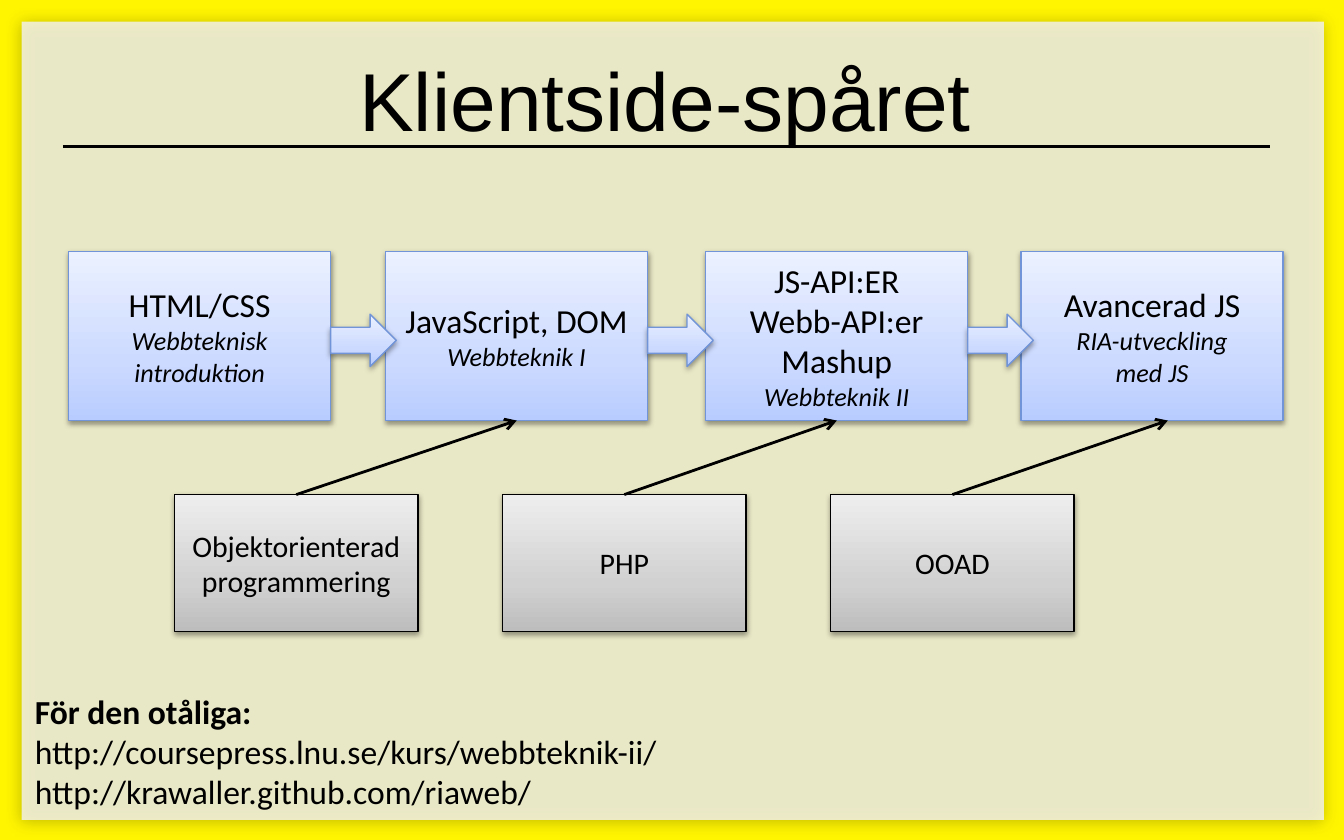
from copy import deepcopy

from lxml.etree import SubElement
from pptx import Presentation
from pptx.dml.color import RGBColor
from pptx.enum.shapes import MSO_CONNECTOR as Connector, MSO_SHAPE as Shape
from pptx.enum.text import MSO_ANCHOR as Anchor, MSO_AUTO_SIZE as AutoSize, PP_ALIGN as Align
from pptx.oxml.ns import qn
from pptx.util import Cm, Pt

COLORS = {"background": "FFF500", "panel": "F2F2F2", "black": "000000", "blue line": "7094D7"}
GRADIENTS = {
    "blue": ((0, "B8CCFF"), (35, "CCDAFF"), (100, "EBF1FF")),
    "gray": ((0, "BDBDBD"), (35, "D1D1D1"), (100, "EEEEEE")),
}
BLACK = RGBColor.from_string(COLORS["black"])


def add_shadow(shape, blur, distance, opacity):
    """Cast a black shadow straight down; blur and distance in points, opacity in percent."""
    shape.shadow.inherit = False
    effects = shape._element.spPr.find(qn("a:effectLst"))
    shadow = SubElement(effects, qn("a:outerShdw"), blurRad=str(Pt(blur)),
                        dist=str(Pt(distance)), dir="5400000", rotWithShape="0")
    color = SubElement(shadow, qn("a:srgbClr"), val=COLORS["black"])
    SubElement(color, qn("a:alpha"), val=str(opacity * 1000))


def add_text(paragraph, text, size, font="Calibri", bold=False, italic=False):
    """Add one run per line of text, with line breaks between them."""
    for number, line in enumerate(text.split("\n")):
        if number:
            paragraph.add_line_break()
        run = paragraph.add_run()
        run.text = line
        run.font.name = font
        run.font.size = Pt(size)
        run.font.bold = bold
        run.font.italic = italic
        run.font.color.rgb = BLACK


presentation = Presentation()
presentation.slide_width = Cm(25.4)
presentation.slide_height = Cm(15.88)
slide = presentation.slides.add_slide(presentation.slide_layouts[5])
shapes = slide.shapes

# Background, panel and title
slide.background.fill.solid()
slide.background.fill.fore_color.rgb = RGBColor.from_string(COLORS["background"])

panel = shapes.add_shape(Shape.RECTANGLE, Cm(0.41), Cm(0.41), Cm(24.61), Cm(15.09))
panel.fill.solid()
panel.fill.fore_color.rgb = RGBColor.from_string(COLORS["panel"])
panel_color = panel._element.spPr.find(qn("a:solidFill")).find(qn("a:srgbClr"))
SubElement(panel_color, qn("a:alpha"), val="82000")
panel.line.fill.background()
add_shadow(panel, 8, 1, 28)

title = shapes.title
title._element.addprevious(panel._element)
title.left, title.top, title.width, title.height = Cm(1.78), Cm(0.79), Cm(21.59), Cm(2.16)
title.text_frame.auto_size = AutoSize.NONE
title.text_frame.vertical_anchor = Anchor.MIDDLE
title.text_frame.paragraphs[0].alignment = Align.CENTER
add_text(title.text_frame.paragraphs[0], "Klientside-spåret", 44, "Arial")

lines = [shapes.add_connector(Connector.STRAIGHT, Cm(1.19), Cm(2.77), Cm(24), Cm(2.77))]

# Courses of the track: left edge, subject, course name
COURSES = [
    (1.3, "HTML/CSS", "Webbteknisk introduktion"),
    (7.29, "JavaScript, DOM", "Webbteknik I"),
    (13.34, "JS-API:ER\nWebb-API:er\nMashup", "Webbteknik II"),
    (19.3, "Avancerad JS", "RIA-utveckling\nmed JS"),
]
COURSE_TOP, COURSE_WIDTH, COURSE_HEIGHT = 4.75, 4.95, 3.2
course_boxes = []
for left, subject, course in COURSES:
    box = shapes.add_shape(Shape.RECTANGLE, Cm(left), Cm(COURSE_TOP),
                           Cm(COURSE_WIDTH), Cm(COURSE_HEIGHT))
    add_text(box.text_frame.paragraphs[0], subject, 18)
    add_text(box.text_frame.add_paragraph(), course, 14, italic=True)
    course_boxes.append(box)

# Prerequisites: name and where the arrow tip meets the next course
PREREQUISITES = [("Objektorienterad programmering", 9.78), ("PHP", 15.9), ("OOAD", 22.07)]
prerequisite_boxes = []
for index, (name, tip) in enumerate(PREREQUISITES):
    box = shapes.add_shape(Shape.RECTANGLE, Cm(3.3 + 6.2 * index), Cm(9.35), Cm(4.6), Cm(2.59))
    add_text(box.text_frame.paragraphs[0], name, 16)
    prerequisite_boxes.append(box)

    target = course_boxes[index + 1]
    arrow = shapes.add_connector(Connector.STRAIGHT, box.left, box.top,
                                 Cm(tip), target.top + target.height)
    arrow.begin_connect(box, 0)
    if abs(Cm(tip) - target.left - target.width // 2) < Cm(0.1):
        arrow.end_connect(target, 2)
    lines.append(arrow)

for line in lines:
    line.line.color.rgb = BLACK
    line.line.width = Pt(1.5)
    SubElement(line._element.spPr, qn("a:effectLst"))
for arrow in lines[1:]:
    SubElement(arrow.line._get_or_add_ln(), qn("a:tailEnd"), type="arrow")

# Block arrows from each course to the next
block_arrows = [
    shapes.add_shape(Shape.RIGHT_ARROW, box.left + box.width, Cm(5.94), Cm(1.24), Cm(0.99))
    for box in course_boxes[:-1]
]

for group, gradient, line_color in (
    (course_boxes + block_arrows, "blue", "blue line"),
    (prerequisite_boxes, "gray", "black"),
):
    for shape in group:
        shape.fill.gradient()
        shape.fill.gradient_angle = 90
        stop_list = shape._element.spPr.find(qn("a:gradFill")).find(qn("a:gsLst"))
        stop_list.append(deepcopy(stop_list[-1]))
        for stop, (position, color) in zip(shape.fill.gradient_stops, GRADIENTS[gradient]):
            stop.position = position / 100
            stop.color.rgb = RGBColor.from_string(color)
        shape.line.color.rgb = RGBColor.from_string(COLORS[line_color])
        shape.line.width = Pt(0.75)
        add_shadow(shape, 3.1, 1.6, 38)
        shape.text_frame.vertical_anchor = Anchor.MIDDLE
        for paragraph in shape.text_frame.paragraphs:
            paragraph.alignment = Align.CENTER

# Links for the impatient
links = shapes.add_textbox(Cm(0.41), Cm(12.93), Cm(17.5), Cm(2.57))
links.text_frame.word_wrap = True
paragraph = links.text_frame.paragraphs[0]
add_text(paragraph, "För den otåliga:", 18, bold=True)
paragraph.add_line_break()
add_text(paragraph, "http://coursepress.lnu.se/kurs/webbteknik-ii/ http://krawaller.github.com/riaweb/", 18)

presentation.save("out.pptx")
